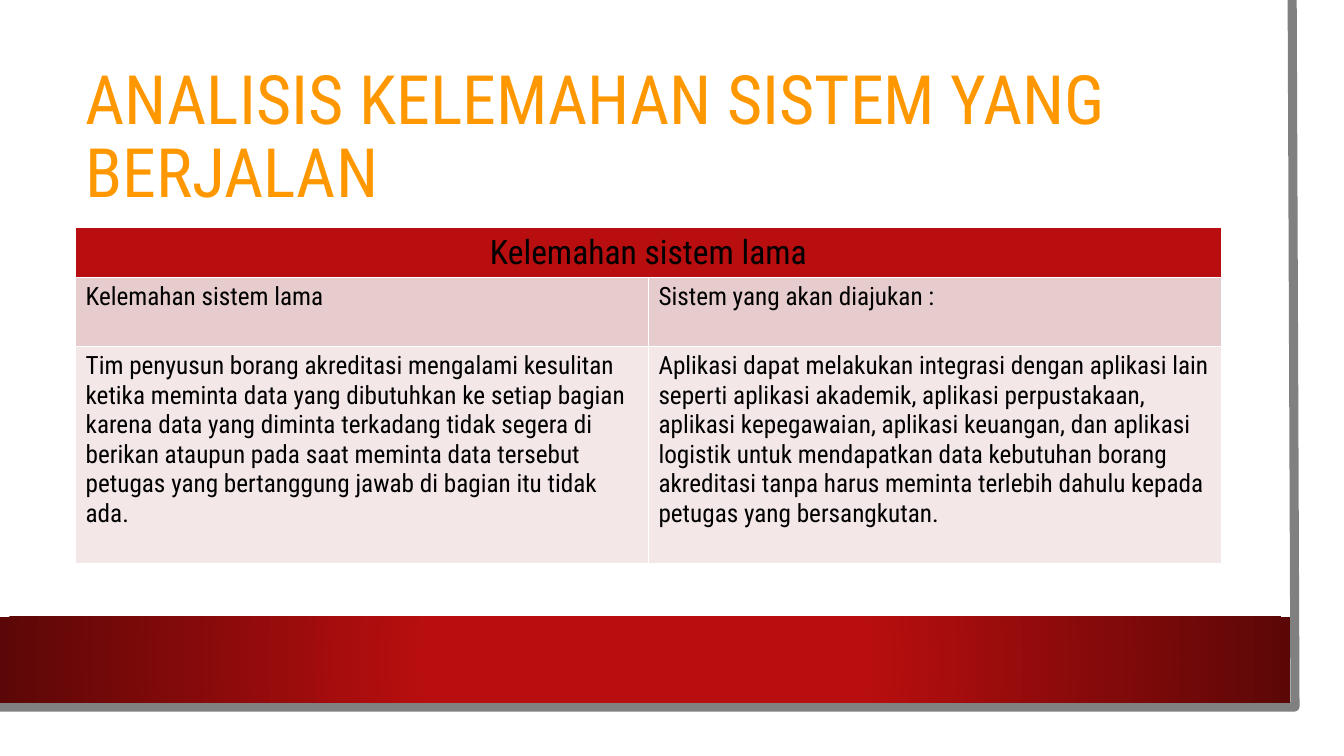
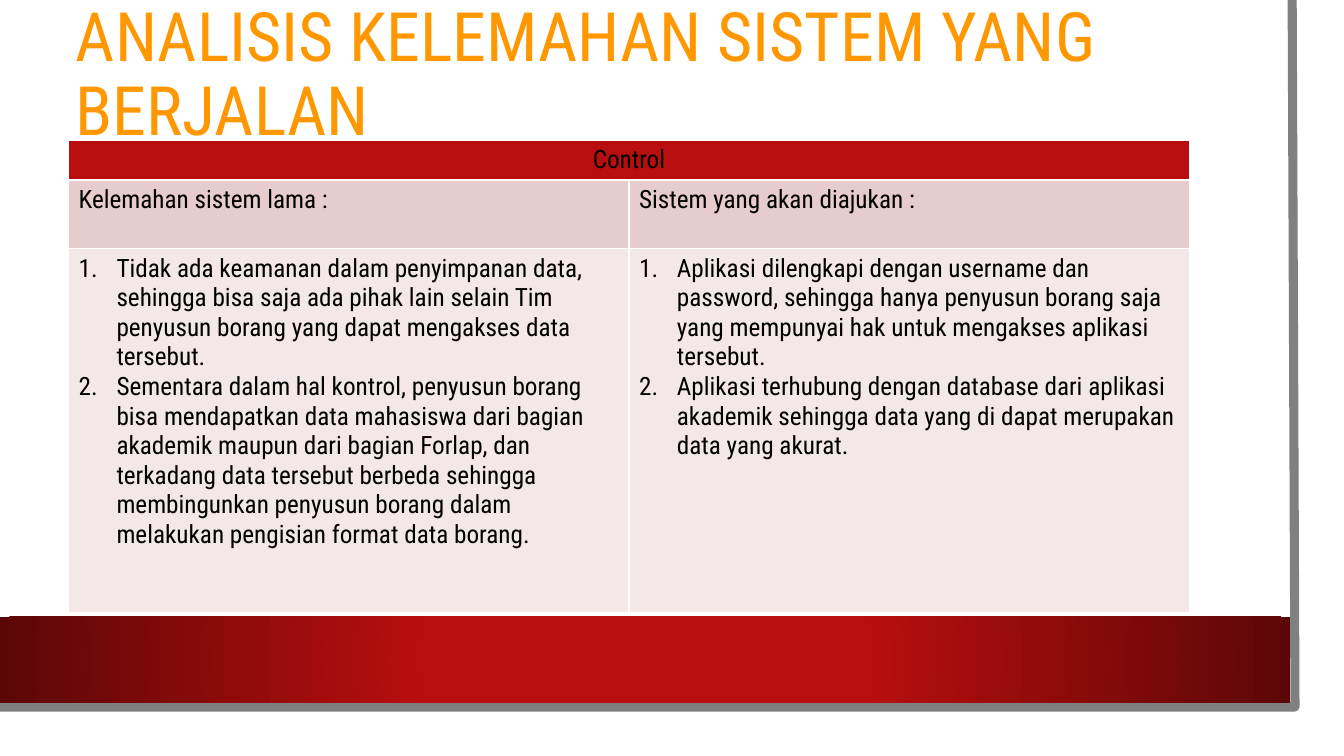
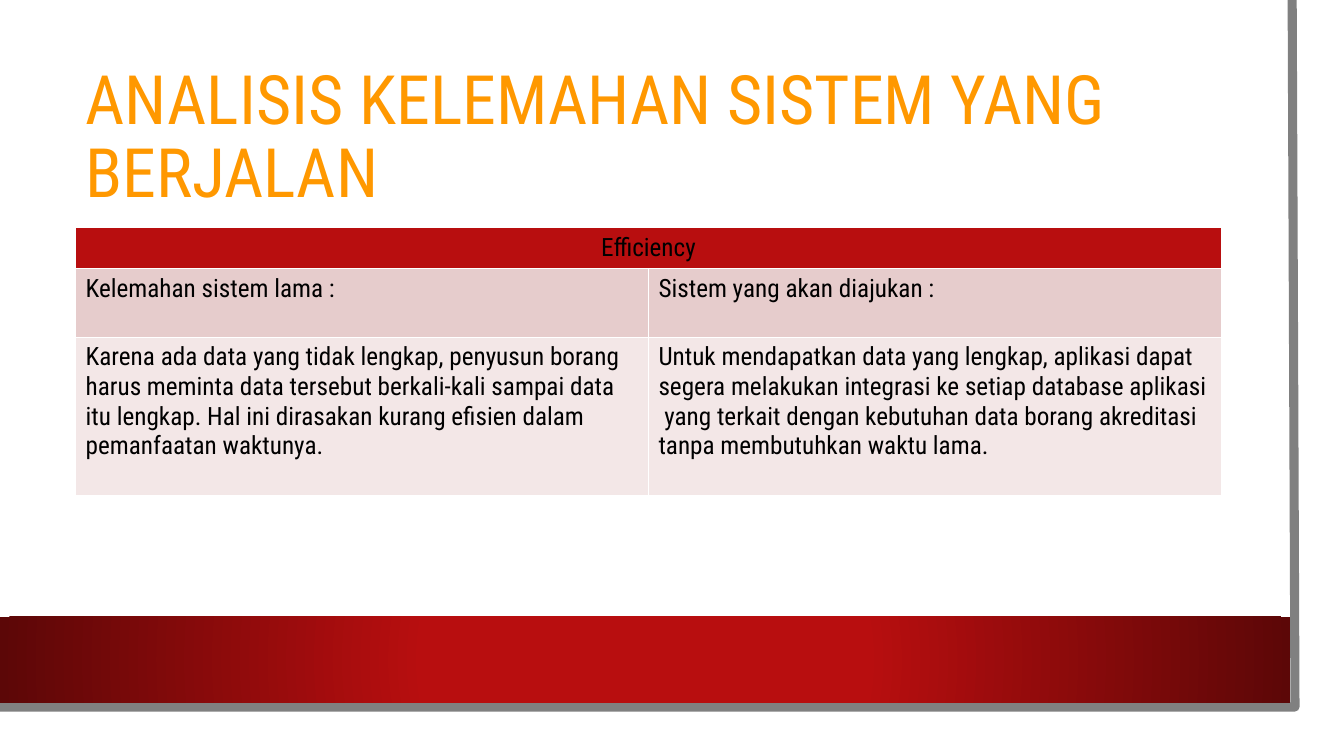
from pptx import Presentation
from pptx.dml.color import RGBColor
from pptx.enum.shapes import MSO_SHAPE as Shape
from pptx.enum.text import MSO_ANCHOR as Anchor, MSO_AUTO_SIZE as Fit, PP_ALIGN as Align
from pptx.oxml import parse_xml
from pptx.oxml.ns import nsdecls, qn
from pptx.util import Pt

FONT = "Roboto Condensed"
WHITE, BLACK, GREY = "FFFFFF", "000000", "808080"
RED, DARK, GOLD = "B80E0F", "5C0707", "FF9800"
ROWS = [RED, "E6CCCC", "F3E7E7"]
TITLE = "ANALISIS KELEMAHAN SISTEM YANG BERJALAN"
OLD, NEW = "Kelemahan sistem lama :", "Sistem yang akan diajukan :"


def color(code):
    """Turn a hex string into a colour."""
    return RGBColor.from_string(code)


def write(frame, *lines, size=18, ink=BLACK, align=Align.LEFT, space=None, num=False):
    """Fill a text frame with one paragraph per line."""
    frame.word_wrap = True
    for i, line in enumerate(lines):
        para = frame.add_paragraph() if i else frame.paragraphs[0]
        para.alignment = align
        if space:
            para.line_spacing = space
        if num:
            props = para._p.get_or_add_pPr()
            props.set("marL", str(Pt(27)))
            props.set("indent", str(Pt(-27)))
            props.append(parse_xml(f'<a:buAutoNum {nsdecls("a")} type="arabicPeriod"/>'))
        run = para.add_run()
        run.text = line
        font = run.font
        font.name, font.size, font.bold = FONT, Pt(size), False
        font.color.rgb = color(ink)


def add_rect(slide, left, top, width, height, fill):
    """Add a plain rectangle without line or shadow."""
    rect = slide.shapes.add_shape(Shape.RECTANGLE, Pt(left), Pt(top), Pt(width), Pt(height))
    rect.shadow.inherit = False
    rect.line.fill.background()
    rect.fill.solid()
    rect.fill.fore_color.rgb = color(fill)
    return rect


def glow(shape, *stops):
    """Give a shape a radial gradient from its centre."""
    shape.fill.gradient()
    for stop, (place, code) in zip(shape.fill.gradient_stops, stops):
        stop.position = place
        stop.color.rgb = color(code)
    grad = shape.element.spPr.find(qn("a:gradFill"))
    grad.remove(grad.find(qn("a:lin")))
    grad.append(parse_xml(
        f'<a:path {nsdecls("a")} path="circle">'
        '<a:fillToRect l="50000" t="50000" r="50000" b="50000"/></a:path>'))


def add_edge(slide):
    """Add the grey edge along the right and bottom of the page."""
    pen = slide.shapes.build_freeform(923, 0, scale=Pt(1))
    pen.add_line_segments([(925.2, 505.4), (-2.2, 504.7)], close=False)
    edge = pen.convert_to_shape()
    edge.shadow.inherit = False
    edge.fill.background()
    edge.line.color.rgb = color(GREY)
    edge.line.width = Pt(6.5)
    return edge


def set_frame(slide, layout):
    """Draw the shared page frame and move it to the layout."""
    page = add_rect(slide, 0, 0, 943, 523.5, WHITE)
    edge = add_edge(slide)
    band = add_rect(slide, 0, 440.6, 921.6, 61.4, RED)
    glow(band, (0.34, RED), (1, DARK))
    for i, part in enumerate([page, edge, band]):
        part.element.nvSpPr.cNvPr.set("id", str(100 + i))
        layout.shapes.element.insert(2 + i, part.element)


def add_title(slide, left, top):
    """Place and write the slide title."""
    title = slide.shapes.title
    title.left, title.top, title.width, title.height = Pt(left), Pt(top), Pt(818.6), Pt(90.7)
    frame = title.text_frame
    frame.auto_size = Fit.NONE
    frame.vertical_anchor = Anchor.MIDDLE
    write(frame, TITLE, size=48.6, ink=GOLD, space=0.9)


def add_grid(slide, left, top, width, heights, head, names, texts, size=18, num=False):
    """Add a two-column table under one merged heading."""
    grid = slide.shapes.add_table(
        3, 2, Pt(left), Pt(top), Pt(width), Pt(sum(heights))).table
    for col in grid.columns:
        col.width = Pt(width / 2)
    for row, height, fill in zip(grid.rows, heights, ROWS):
        row.height = Pt(height)
        for cell in row.cells:
            cell.fill.solid()
            cell.fill.fore_color.rgb = color(fill)
    grid.cell(0, 0).merge(grid.cell(0, 1))
    write(grid.cell(0, 0).text_frame, head, size=size, align=Align.CENTER)
    for i, (name, lines) in enumerate(zip(names, texts)):
        write(grid.cell(1, i).text_frame, name)
        write(grid.cell(2, i).text_frame, *lines, num=num)


def main():
    """Build and save the deck."""
    deck = Presentation()
    deck.slide_width, deck.slide_height = Pt(960), Pt(540)
    layout = deck.slide_layouts[5]
    first, second, third = [deck.slides.add_slide(layout) for _ in range(3)]
    set_frame(first, layout)

    add_title(first, 54, 54)
    add_grid(
        first, 54, 162.7, 818.4, [35.2, 49.2, 155], "Kelemahan sistem lama",
        ["Kelemahan sistem lama", NEW],
        [["Tim penyusun borang akreditasi mengalami kesulitan ketika meminta data yang "
          "dibutuhkan ke setiap bagian karena data yang diminta terkadang tidak segera di "
          "berikan ataupun pada saat meminta data tersebut petugas yang bertanggung jawab "
          "di bagian itu tidak ada."],
         ["Aplikasi dapat melakukan integrasi dengan aplikasi lain seperti aplikasi "
          "akademik, aplikasi perpustakaan, aplikasi kepegawaian, aplikasi keuangan, dan "
          "aplikasi logistik untuk mendapatkan data kebutuhan borang akreditasi tanpa "
          "harus meminta terlebih dahulu kepada petugas yang bersangkutan."]],
        size=24)

    add_title(second, 47, 9.4)
    add_grid(
        second, 49, 100.2, 800.6, [28.3, 49.2, 260], "Control", [OLD, NEW],
        [["Tidak ada keamanan dalam penyimpanan data, sehingga bisa saja ada pihak lain "
          "selain Tim penyusun borang yang dapat mengakses data tersebut.",
          "Sementara dalam hal kontrol, penyusun borang bisa mendapatkan data mahasiswa "
          "dari bagian akademik maupun dari bagian Forlap, dan terkadang data tersebut "
          "berbeda sehingga membingunkan penyusun borang dalam melakukan pengisian format "
          "data borang."],
         ["Aplikasi dilengkapi dengan username dan password, sehingga hanya penyusun "
          "borang saja yang mempunyai hak untuk mengakses aplikasi tersebut.",
          "Aplikasi terhubung dengan database dari aplikasi akademik sehingga data yang "
          "di dapat merupakan data yang akurat."]],
        num=True)

    add_title(third, 54, 54)
    add_grid(
        third, 54, 162.7, 818.4, [29.2, 49.2, 112.6], "Efficiency", [OLD, NEW],
        [["Karena ada data yang tidak lengkap, penyusun borang harus meminta data tersebut "
          "berkali-kali sampai data itu lengkap. Hal ini dirasakan kurang efisien dalam "
          "pemanfaatan waktunya."],
         ["Untuk mendapatkan data yang lengkap, aplikasi dapat segera melakukan integrasi "
          "ke setiap database aplikasi  yang terkait dengan kebutuhan data borang "
          "akreditasi tanpa membutuhkan waktu lama."]])

    deck.save("out.pptx")


if __name__ == "__main__":
    main()
